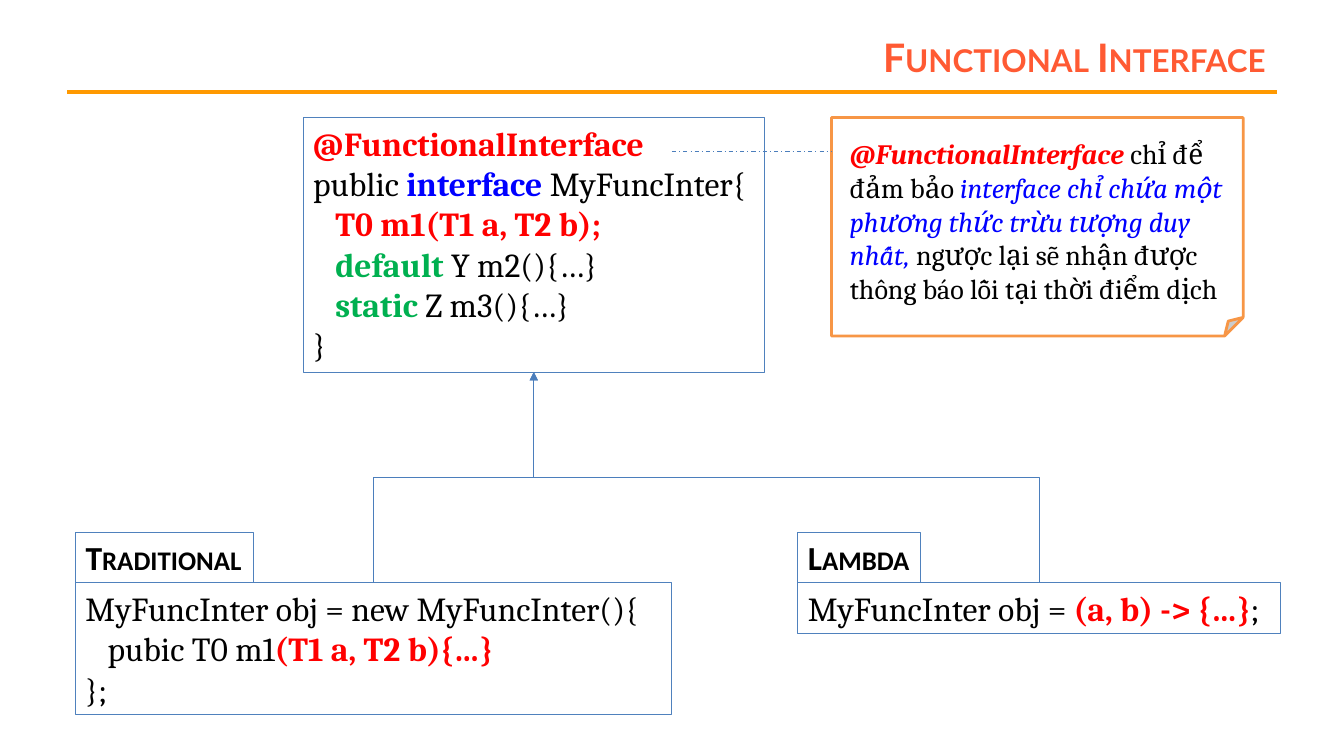
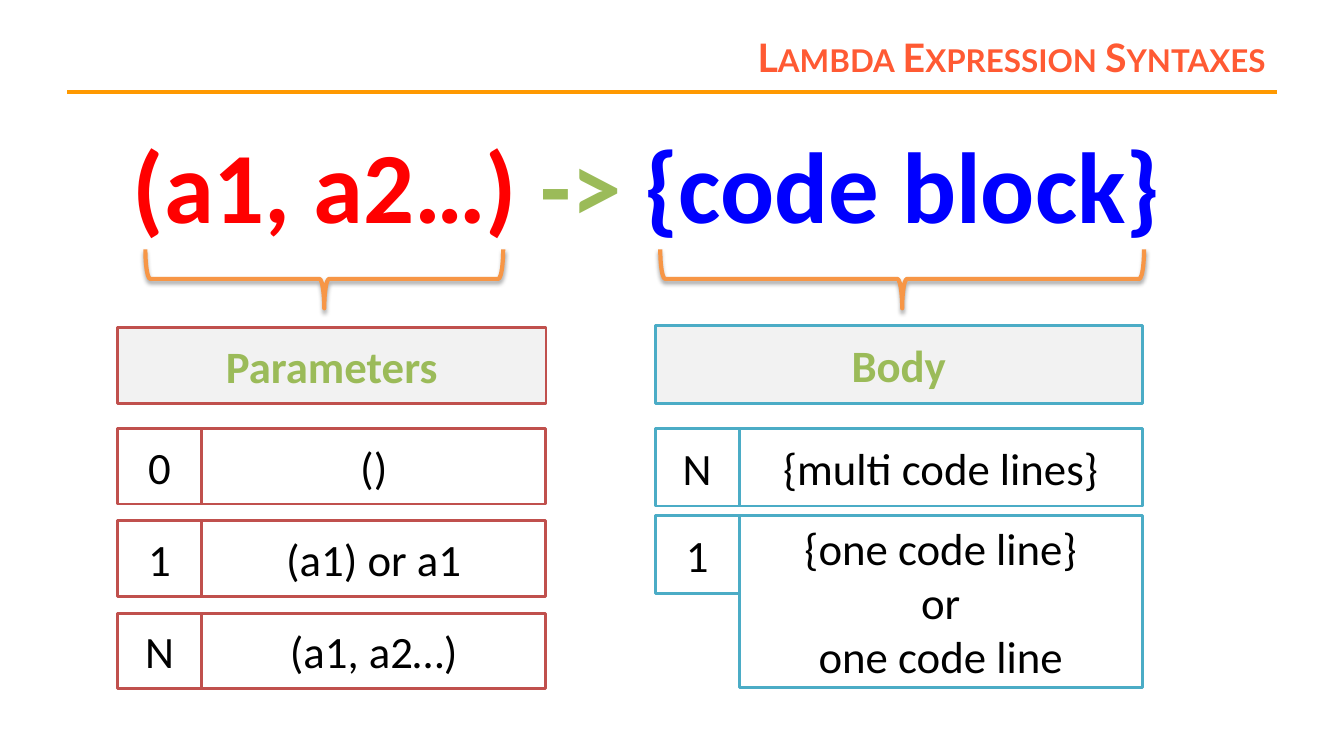
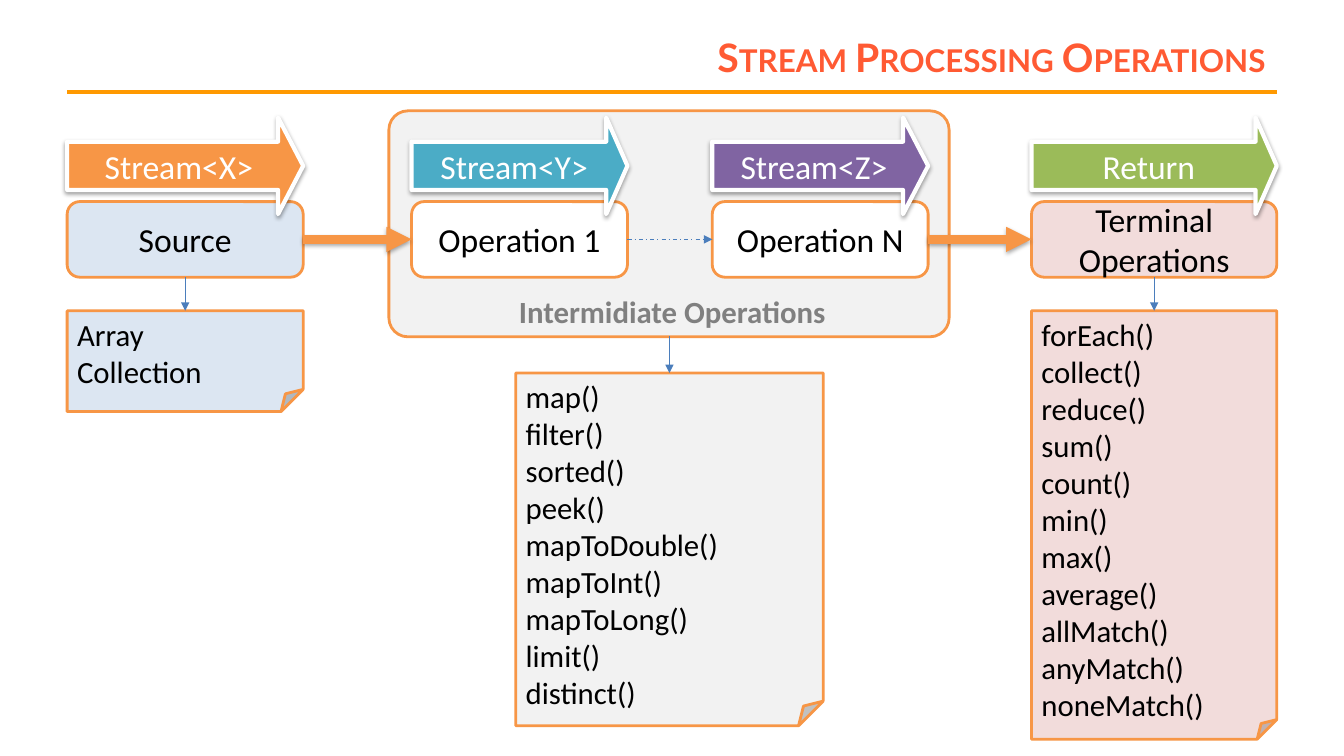
from dataclasses import dataclass
from typing import Optional, Sequence

from lxml.etree import SubElement
from pptx import Presentation
from pptx.dml.color import RGBColor
from pptx.enum.dml import MSO_LINE
from pptx.enum.shapes import MSO_CONNECTOR, MSO_SHAPE
from pptx.enum.text import MSO_ANCHOR, MSO_AUTO_SIZE, PP_ALIGN
from pptx.oxml.ns import qn
from pptx.util import Emu, Pt

SLIDE_WIDTH, SLIDE_HEIGHT = 12192000, 6858000
COLUMNS, ROWS = 160, 90
TITLE_ONLY = 5

BLACK, WHITE, RED, BLUE, GREEN = "000000", "FFFFFF", "FF0000", "0000FF", "00B050"
ORANGE, TEAL, PURPLE, LIME, BRICK = "F79646", "4BACC6", "8064A2", "9BBB59", "C0504D"
PALE_GRAY, PALE_BLUE, PALE_RED, GRAY = "F2F2F2", "DCE6F2", "F2DCDB", "808080"
TITLE_COLOR, RULE_COLOR = "FF5A33", "FF9900"
BOX_LINE, CONNECTOR_LINE = "4F81BD", "4B7EBC"


@dataclass(frozen=True)
class Box:
    left: float
    top: float
    width: float
    height: float


@dataclass(frozen=True)
class Run:
    text: str
    color: str = BLACK
    bold: bool = False
    italic: bool = False


@dataclass(frozen=True)
class TextStyle:
    size: float
    font: str = "Calibri"
    align: PP_ALIGN = PP_ALIGN.LEFT
    anchor: MSO_ANCHOR = MSO_ANCHOR.TOP
    wrap: bool = True
    small_caps: bool = False


@dataclass(frozen=True)
class OptionGroup:
    header: str
    left: float
    value_width: float
    row_height: float
    pitch: float
    last_height: float
    color: str
    rows: Sequence[tuple[str, Sequence[str]]]
    brace_center: float
    brace_length: float


@dataclass(frozen=True)
class Stage:
    left: float
    width: float
    name: str
    fill: str
    output: str
    output_fill: str
    head: float


@dataclass(frozen=True)
class MethodNote:
    box: Box
    fold: float
    fill: str
    methods: Sequence[str]
    arrow_top: float


Paragraphs = Sequence[Sequence[Run]]

TITLE = TextStyle(28, "Lato", PP_ALIGN.RIGHT, MSO_ANCHOR.MIDDLE, small_caps=True)
CODE = TextStyle(24, "Cambria")
CODE_FITTED = TextStyle(24, "Cambria", wrap=False)
TAB = TextStyle(24, wrap=False, small_caps=True)
REMARK = TextStyle(20, "Cambria")
EXPRESSION = TextStyle(72, align=PP_ALIGN.CENTER, wrap=False)
OPTION = TextStyle(32, align=PP_ALIGN.CENTER, anchor=MSO_ANCHOR.MIDDLE)
STAGE = TextStyle(24, align=PP_ALIGN.CENTER, anchor=MSO_ANCHOR.MIDDLE)
METHOD = TextStyle(22)
CAPTION = TextStyle(22, wrap=False)


def rgb(value: str) -> RGBColor:
    return RGBColor.from_string(value)


def across(columns: float) -> Emu:
    return Emu(round(SLIDE_WIDTH * columns / COLUMNS))


def down(rows: float) -> Emu:
    return Emu(round(SLIDE_HEIGHT * rows / ROWS))


def place(box: Box) -> tuple[Emu, Emu, Emu, Emu]:
    return across(box.left), down(box.top), across(box.width), down(box.height)


def plain(texts: Sequence[str], color: str = BLACK, bold: bool = False) -> Paragraphs:
    return [[Run(text, color, bold)] for text in texts]


def write(shape, paragraphs: Paragraphs, style: TextStyle) -> None:
    frame = shape.text_frame
    frame.word_wrap = style.wrap
    frame.auto_size = MSO_AUTO_SIZE.NONE if style.wrap else MSO_AUTO_SIZE.SHAPE_TO_FIT_TEXT
    frame.vertical_anchor = style.anchor
    for index, runs in enumerate(paragraphs):
        paragraph = frame.add_paragraph() if index else frame.paragraphs[0]
        paragraph.alignment = style.align
        for item in runs:
            run = paragraph.add_run()
            run.text = item.text
            font = run.font
            font.name, font.size = style.font, Pt(style.size)
            font.bold, font.italic = item.bold, item.italic
            font.color.rgb = rgb(item.color)
            if style.small_caps:
                font._element.set("cap", "small")


def add_shadow(shape, distance: int = 23000, opacity: int = 35) -> None:
    effects = shape.element.spPr.find(qn("a:effectLst"))
    shadow = SubElement(effects, qn("a:outerShdw"), blurRad="40000",
                        dist=str(distance), dir="5400000", rotWithShape="0")
    color = SubElement(shadow, qn("a:srgbClr"), val=BLACK)
    SubElement(color, qn("a:alpha"), val=str(opacity * 1000))


def adjust(shape, values: Sequence[float]) -> None:
    guides = shape.element.spPr.find(qn("a:prstGeom")).find(qn("a:avLst"))
    for guide in list(guides):
        guides.remove(guide)
    for number, value in enumerate(values, start=1):
        name = "adj" if len(values) == 1 else f"adj{number}"
        SubElement(guides, qn("a:gd"), name=name, fmla=f"val {round(value * 100000)}")


def add_box(slide, kind: MSO_SHAPE, box: Box, line: str, weight: float,
            fill: Optional[str] = None, adjustments: Sequence[float] = (),
            paragraphs: Paragraphs = (), style: TextStyle = STAGE):
    shape = slide.shapes.add_shape(kind, *place(box))
    shape.shadow.inherit = False
    if fill:
        shape.fill.solid()
        shape.fill.fore_color.rgb = rgb(fill)
    else:
        shape.fill.background()
    shape.line.color.rgb = rgb(line)
    shape.line.width = Pt(weight)
    if adjustments:
        adjust(shape, adjustments)
    if paragraphs:
        write(shape, paragraphs, style)
    return shape


def add_text(slide, box: Box, paragraphs: Paragraphs, style: TextStyle) -> None:
    write(slide.shapes.add_textbox(*place(box)), paragraphs, style)


def add_line(slide, start: tuple[float, float], end: tuple[float, float],
             color: str = CONNECTOR_LINE, weight: float = 0.75, dashed: bool = False,
             arrow: bool = True, kind: MSO_CONNECTOR = MSO_CONNECTOR.STRAIGHT):
    connector = slide.shapes.add_connector(
        kind, across(start[0]), down(start[1]), across(end[0]), down(end[1]))
    properties = connector.element.spPr
    connector.line.color.rgb = rgb(color)
    connector.line.width = Pt(weight)
    if dashed:
        connector.line.dash_style = MSO_LINE.DASH_DOT
    if arrow:
        SubElement(properties.find(qn("a:ln")), qn("a:tailEnd"), type="triangle")
    SubElement(properties, qn("a:effectLst"))
    return connector


def add_upward_elbow(slide, start: tuple[float, float], end: tuple[float, float]) -> None:
    middle_x, middle_y = (start[0] + end[0]) / 2, (start[1] + end[1]) / 2
    half_rise, half_run = (start[1] - end[1]) / 2, (end[0] - start[0]) / 2
    connector = add_line(slide, (middle_x - half_rise, middle_y - half_run),
                         (middle_x + half_rise, middle_y + half_run),
                         kind=MSO_CONNECTOR.ELBOW)
    connector.element.spPr.find(qn("a:xfrm")).set("rot", str(270 * 60000))


def add_titled_slide(presentation, title: str):
    slide = presentation.slides.add_slide(presentation.slide_layouts[TITLE_ONLY])
    placeholder = slide.shapes.title
    placeholder.left, placeholder.top, placeholder.width, placeholder.height = place(
        Box(29.3, 3.6, 122.6, 6.4))
    write(placeholder, [[Run(title, TITLE_COLOR, True)]], TITLE)
    add_line(slide, (8, 11), (152, 11), RULE_COLOR, 3, arrow=False)
    return slide


def build_functional_interface(presentation) -> None:
    slide = add_titled_slide(presentation, "Functional Interface")
    add_box(slide, MSO_SHAPE.FOLDED_CORNER, Box(99, 14, 49, 26), ORANGE, 2, WHITE, [0.085])
    interface = Box(36.1, 14, 54.9, 30.3)
    add_box(slide, MSO_SHAPE.RECTANGLE, interface, BOX_LINE, 0.75, style=CODE, paragraphs=[
        [Run("@FunctionalInterface", RED, True)],
        [Run("public "), Run("interface ", BLUE, True), Run("MyFuncInter{")],
        [Run("   T0 m1(T1 a, T2 b);", RED, True)],
        [Run("   "), Run("default", GREEN, True), Run(" Y m2(){…}")],
        [Run("   "), Run("static", GREEN, True), Run(" Z m3(){…}")],
        [Run("}")],
    ])
    code_top, tab_height = 69.4, 6.05
    examples = [
        ("Lambda", 14.6, Box(95, code_top, 57.5, tab_height), 123.7, [
            [Run("MyFuncInter obj = "), Run("(a, b) -> {…}", RED, True), Run(";")],
        ]),
        ("Traditional", 21.2, Box(9, code_top, 71, 15.7), 44.5, [
            [Run("MyFuncInter obj = new MyFuncInter(){")],
            [Run("   pubic T0 m1"), Run("(T1 a, T2 b){…}", RED, True)],
            [Run("};")],
        ]),
    ]
    interface_foot = (interface.left + interface.width / 2, interface.top + interface.height)
    for name, tab_width, box, center, code in examples:
        tab = Box(box.left, code_top - tab_height, tab_width, tab_height)
        add_box(slide, MSO_SHAPE.RECTANGLE, box, BOX_LINE, 0.75,
                paragraphs=code, style=CODE_FITTED)
        add_box(slide, MSO_SHAPE.RECTANGLE, tab, BOX_LINE, 0.75,
                paragraphs=plain([name], bold=True), style=TAB)
        add_upward_elbow(slide, (center, code_top), interface_foot)
    add_text(slide, Box(100, 15.7, 47, 21.4), [[
        Run("@FunctionalInterface ", RED, True, True),
        Run("chỉ để đảm bảo"),
        Run(" interface chỉ chứa một phương thức trừu tượng duy nhất, ", BLUE, italic=True),
        Run("ngược lại sẽ nhận được thông báo lỗi tại thời điểm dịch"),
    ]], REMARK)
    add_line(slide, (80, 18), (99, 18), dashed=True, arrow=False)


def add_option_group(slide, group: OptionGroup) -> None:
    key_width, first_row, header_foot = 10, 51, 48
    brace_depth, brace_middle = 7, 33.2

    def cell(box: Box, paragraphs: Paragraphs, fill: str = WHITE) -> None:
        add_box(slide, MSO_SHAPE.RECTANGLE, box, group.color, 2, fill,
                paragraphs=paragraphs, style=OPTION)

    for index, (key, values) in enumerate(group.rows):
        top = first_row + index * group.pitch
        is_last = index == len(group.rows) - 1
        value_height = group.last_height if is_last else group.row_height
        cell(Box(group.left + key_width, top, group.value_width, value_height), plain(values))
        cell(Box(group.left, top, key_width, group.row_height), plain([key]))
    cell(Box(group.left, header_foot - group.row_height,
             key_width + group.value_width, group.row_height),
         plain([group.header], LIME, True), PALE_GRAY)
    brace = add_box(slide, MSO_SHAPE.RIGHT_BRACE,
                    Box(group.brace_center - brace_depth / 2,
                        brace_middle - group.brace_length / 2,
                        brace_depth, group.brace_length), ORANGE, 3)
    brace.rotation = 90
    add_shadow(brace)


def build_lambda_syntaxes(presentation) -> None:
    slide = add_titled_slide(presentation, "Lambda Expression Syntaxes")
    add_text(slide, Box(14, 14, 126, 15.7), [[
        Run("(a1, a2…) ", RED, True), Run("-> ", LIME, True), Run("{code block}", BLUE, True),
    ]], EXPRESSION)
    groups = [
        OptionGroup("Parameters", 14, 41, 9, 11, 9, BRICK,
                    [("0", ["()"]), ("1", ["(a1) or a1"]), ("N", ["(a1, a2…)"])], 38.6, 42.6),
        OptionGroup("Body", 78, 48, 9.25, 10.4, 20.5, TEAL,
                    [("N", ["{multi code lines}"]),
                     ("1", ["{one code line}", "or", "one code line"])], 107.4, 57.6),
    ]
    for group in groups:
        add_option_group(slide, group)


def build_stream_operations(presentation) -> None:
    slide = add_titled_slide(presentation, "Stream Processing Operations")
    stages = [
        Stage(8, 28.1, "Source", PALE_BLUE, "Stream<X>", ORANGE, 0.26),
        Stage(49, 25.7, "Operation 1", WHITE, "Stream<Y>", TEAL, 0.22),
        Stage(84.8, 25.7, "Operation N", WHITE, "Stream<Z>", PURPLE, 0.26),
        Stage(122.8, 29.2, "Terminal Operations", PALE_RED, "Return", LIME, 0.22),
    ]
    notes = [
        MethodNote(Box(8, 37, 28.1, 12), 0.22, PALE_BLUE, ["Array", "Collection"], 33),
        MethodNote(Box(61.4, 44.4, 36.6, 42), 0.08, PALE_GRAY,
                   ["map()", "filter()", "sorted()", "peek()", "mapToDouble()",
                    "mapToInt()", "mapToLong()", "limit()", "distinct()"], 40),
        MethodNote(Box(122.8, 37, 29.2, 51), 0.08, PALE_RED,
                   ["forEach()", "collect()", "reduce()", "sum()", "count()", "min()",
                    "max()", "average()", "allMatch()", "anyMatch()", "noneMatch()"], 33),
    ]
    add_box(slide, MSO_SHAPE.ROUNDED_RECTANGLE, Box(46.3, 13.2, 66.7, 26.9),
            ORANGE, 2, PALE_GRAY, [0.084])
    stage_top, stage_height = 24, 9
    for stage in stages:
        add_box(slide, MSO_SHAPE.ROUNDED_RECTANGLE,
                Box(stage.left, stage_top, stage.width, stage_height),
                ORANGE, 2, stage.fill, paragraphs=plain([stage.name]))
    flow = stage_top + stage_height / 2
    for index, (source, target) in enumerate(zip(stages, stages[1:])):
        start, end = (source.left + source.width, flow), (target.left, flow)
        if index == 1:
            add_line(slide, start, end, dashed=True)
        else:
            add_shadow(add_line(slide, start, end, ORANGE, 6))
    for note in notes:
        add_box(slide, MSO_SHAPE.FOLDED_CORNER, note.box, ORANGE, 2, note.fill,
                [note.fold], plain(note.methods), METHOD)
        center = note.box.left + note.box.width / 2
        add_line(slide, (center, note.arrow_top), (center, note.box.top))
    for stage in stages:
        arrow = add_box(slide, MSO_SHAPE.RIGHT_ARROW, Box(stage.left, 14, stage.width, 11.5),
                        WHITE, 3, stage.output_fill, [0.5, stage.head],
                        plain([stage.output], WHITE))
        add_shadow(arrow, 20000, 38)
    add_text(slide, Box(60.6, 34.3, 39.4, 5.7),
             plain(["Intermidiate Operations"], GRAY, True), CAPTION)


def main() -> None:
    presentation = Presentation()
    presentation.slide_width, presentation.slide_height = Emu(SLIDE_WIDTH), Emu(SLIDE_HEIGHT)
    build_functional_interface(presentation)
    build_lambda_syntaxes(presentation)
    build_stream_operations(presentation)
    presentation.save("out.pptx")


if __name__ == "__main__":
    main()
